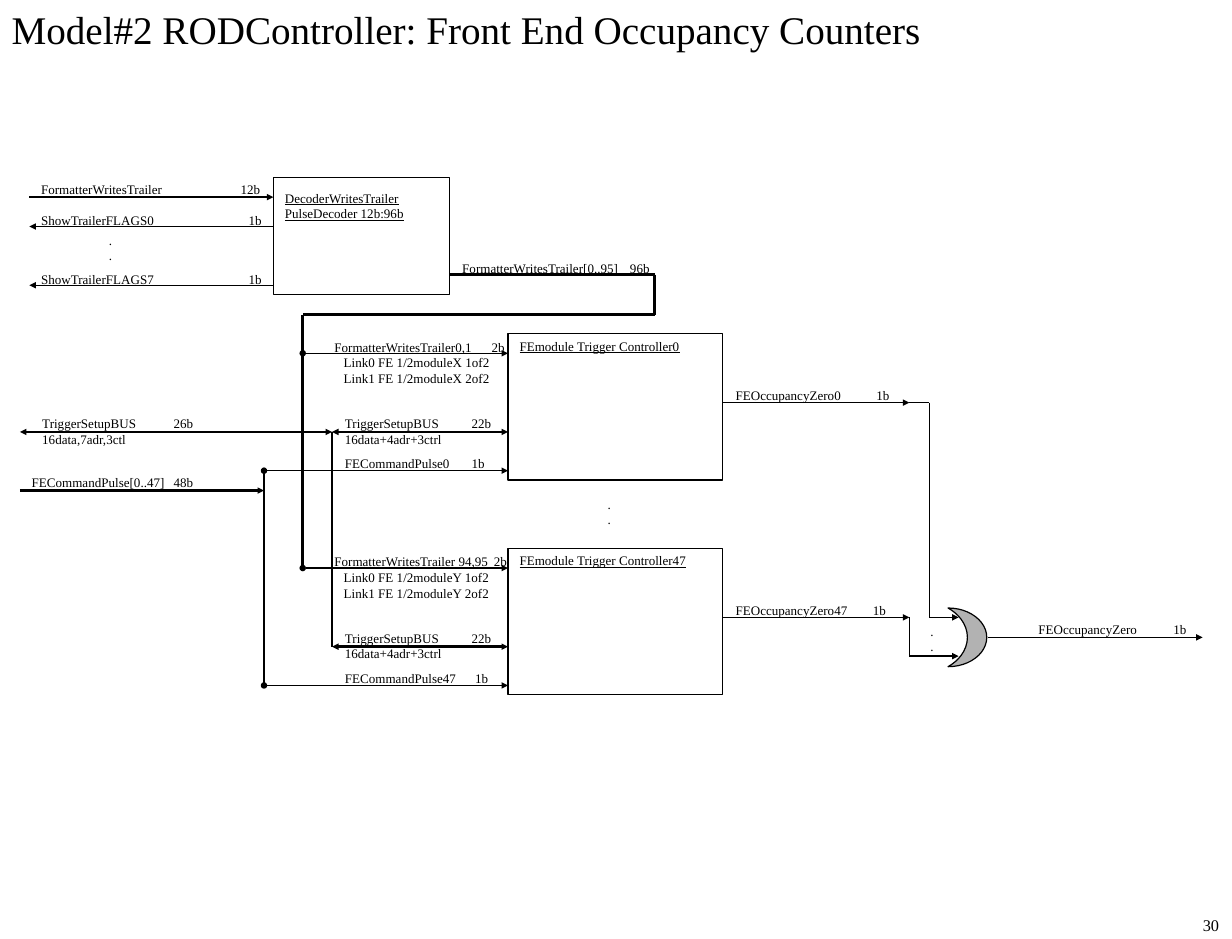
from pptx import Presentation
from pptx import util as u
from pptx.dml.color import RGBColor
from pptx.enum import shapes, text
from pptx.oxml.ns import qn
from lxml import etree

BLACK = RGBColor(0, 0, 0)
GREY = RGBColor(0xB2, 0xB2, 0xB2)
FONT = "Times New Roman"
PX = 9144  # 100 px to the inch
THIN, BUS = 0.75, 1.5

deck = Presentation()
deck.slide_width, deck.slide_height = 1050 * PX, 800 * PX
slide = deck.slides.add_slide(deck.slide_layouts[6])


def write(words, x, y, w, h, size=8, pad=11, top=5, right=0, tab=None,
          dent=0, line=False, align=text.PP_ALIGN.LEFT, frame=False):
    """Put lines of text in a box; tab is the slide x of the bit width,
    dent the left margin of the lines after the first."""
    if frame:
        box = slide.shapes.add_shape(shapes.MSO_SHAPE.RECTANGLE,
                                     x * PX, y * PX, w * PX, h * PX)
        box.shadow.inherit = False
        box.fill.background()
        box.line.color.rgb = BLACK
        box.line.width = u.Pt(THIN)
    else:
        box = slide.shapes.add_textbox(x * PX, y * PX, w * PX, h * PX)
    body = box.text_frame
    body.word_wrap = True
    body.vertical_anchor = text.MSO_ANCHOR.TOP
    body.margin_left, body.margin_right = pad * PX, right * PX
    body.margin_top, body.margin_bottom = top * PX, 0
    for i, part in enumerate(words.split("\n")):
        para = body.paragraphs[0] if i == 0 else body.add_paragraph()
        para.alignment = align
        props = para._p.get_or_add_pPr()
        if i and dent:
            props.set("marL", str(dent * PX))
        if "\t" in part:
            stops = etree.SubElement(props, qn("a:tabLst"))
            etree.SubElement(stops, qn("a:tab"),
                             pos=str((tab - x - pad) * PX), algn="l")
        run = para.add_run()
        run.text = part
        run.font.name, run.font.size = FONT, u.Pt(size)
        run.font.color.rgb = BLACK
        run.font.underline = line


def wire(x1, y1, x2, y2, width=THIN, head=None, tail=None):
    """Draw a line; head marks its start and tail its end."""
    link = slide.shapes.add_connector(shapes.MSO_CONNECTOR.STRAIGHT,
                                      x1 * PX, y1 * PX, x2 * PX, y2 * PX)
    link.line.color.rgb = BLACK
    link.line.width = u.Pt(width)
    props = link._element.spPr
    stroke = link.line._get_or_add_ln()
    for tag, kind in (("a:headEnd", head), ("a:tailEnd", tail)):
        if kind:
            etree.SubElement(stroke, qn(tag), type=kind, w="sm", len="sm")
    etree.SubElement(props, qn("a:effectLst"))


# Title
write("Model#2 RODController: Front End Occupancy Counters",
      0, 0, 795, 50, size=24, pad=10)

# Decoder with its input and flags
write("DecoderWritesTrailer\nPulseDecoder 12b:96b", 233, 151, 150, 100,
      pad=10, top=11, line=True, frame=True)
wire(25, 168, 233, 168, BUS, tail="triangle")
write("FormatterWritesTrailer\t12b", 24, 150, 209, 24, tab=205)
for num, y in ((0, 193), (7, 243)):
    wire(233, y, 25, y, tail="triangle")
    write(f"ShowTrailerFLAGS{num}\t1b", 24, y - 17, 210, 24, tab=212)

# Trailer bus from the decoder to the modules
write("FormatterWritesTrailer[0..95]\t96b", 383, 217, 183, 24, tab=537)
route = [(383, 234), (558, 234), (558, 268), (258, 268), (258, 484)]
for start, end in zip(route, route[1:]):
    wire(*start, *end, BUS)

# Setup bus and command pulses
wire(17, 368, 283, 368, BUS, head="triangle", tail="triangle")
write("TriggerSetupBUS\t26b\n16data,7adr,3ctl", 25, 349, 152, 37, tab=148)
wire(283, 368, 283, 551, BUS)
wire(17, 418, 225, 418, BUS, tail="triangle")
write("FECommandPulse[0..47]\t48b", 16, 399, 160, 24, tab=148)
wire(225, 401, 225, 584)

# First and last trigger controller: number, links, module, bit positions
units = [(0, "0,1", "X", 419, 402, 747), (47, " 94,95", "Y", 421, 405, 744)]
for row, (num, pair, mod, link, pulse, zero) in enumerate(units):
    y = 284 + 183 * row
    write(f"FEmodule Trigger Controller{num}", 433, y, 183, 125,
          pad=10, top=4, line=True, frame=True)
    wire(258, y + 17, 433, y + 17, head="oval", tail="triangle")
    write(f"FormatterWritesTrailer{pair}\t2b\nLink0 FE 1/2module{mod} 1of2\n"
          f"Link1 FE 1/2module{mod} 2of2", 274, y, 170, 51, tab=link, dent=8)
    wire(283, y + 84, 433, y + 84, BUS, head="triangle", tail="triangle")
    write("TriggerSetupBUS\t22b\n16data+4adr+3ctrl",
          283, y + 65, 147, 37, tab=402)
    wire(225, y + 117, 433, y + 117, head="oval", tail="triangle")
    write(f"FECommandPulse{num}\t1b", 283, y + 99, 144, 24, tab=pulse)
    wire(616, y + 59, 775, y + 59, tail="triangle")
    write(f"FEOccupancyZero{num}\t1b", 616, y + 41, 153, 24, tab=zero)

# Wires into the gate
wire(775, 343, 792, 343)
wire(792, 343, 792, 526)
wire(792, 526, 817, 526, tail="triangle")
wire(775, 526, 775, 559)
wire(775, 559, 817, 559, tail="triangle")

# Gate and its output
gate = slide.shapes.add_shape(shapes.MSO_SHAPE.MOON,
                              808 * PX, 518 * PX, 33 * PX, 50 * PX)
gate.rotation = 180
gate.shadow.inherit = False
gate.fill.solid()
gate.fill.fore_color.rgb = GREY
gate.line.color.rgb = BLACK
gate.line.width = u.Pt(THIN)
wire(842, 543, 1025, 543, tail="triangle")
write("FEOccupancyZero\t1b", 874, 525, 147, 24, tab=1000)

# Dots for the rows left out
for x, y in ((83, 193), (508, 418), (783, 526)):
    write(".\n.", x, y, 25, 37, pad=10)

# Page number
write("30", 917, 775, 133, 25, size=10, right=11,
      align=text.PP_ALIGN.RIGHT)

deck.save("out.pptx")
